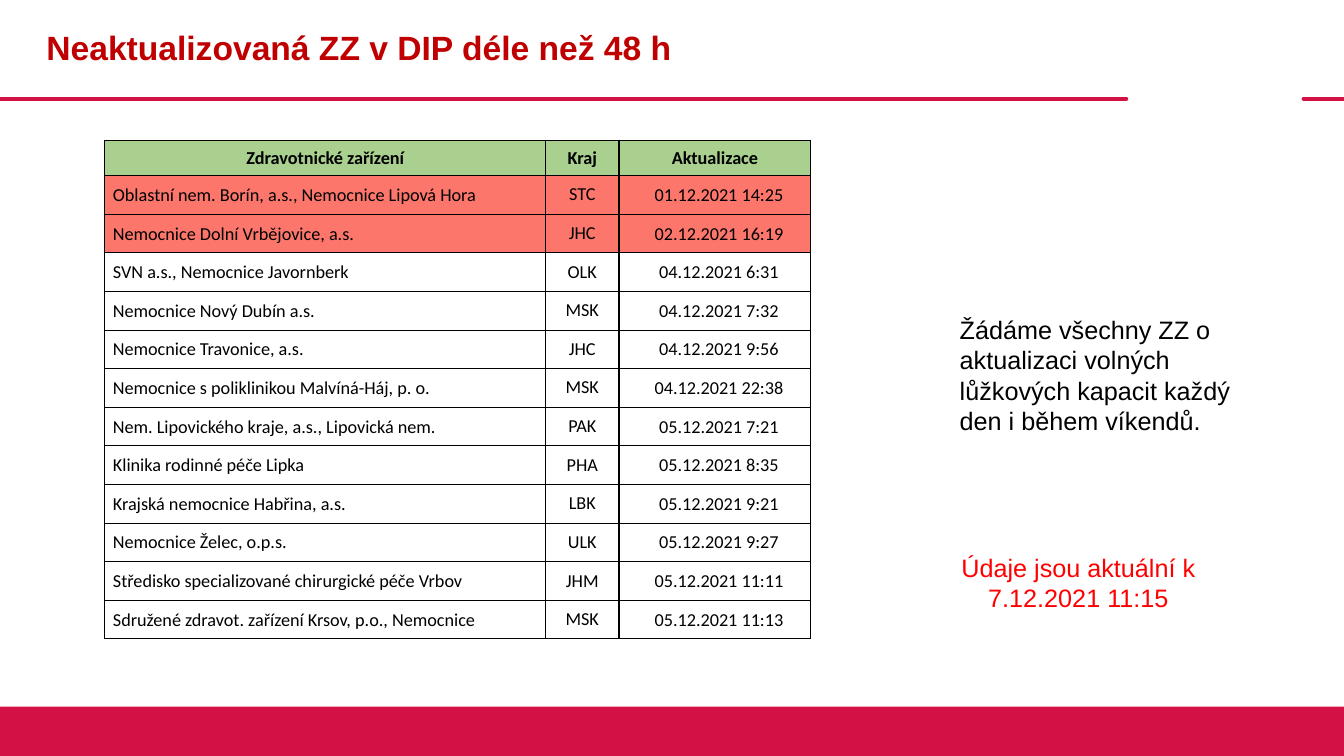
from dataclasses import dataclass

from lxml.etree import SubElement
from pptx import Presentation
from pptx.dml.color import RGBColor
from pptx.enum.shapes import MSO_CONNECTOR, MSO_SHAPE
from pptx.enum.text import MSO_ANCHOR as Anchor, PP_ALIGN as Align
from pptx.oxml.ns import qn
from pptx.slide import Slide
from pptx.table import _Cell as Cell
from pptx.text.text import _Paragraph as Paragraph
from pptx.util import Inches, Pt

COLORS = {
    "brand": "D31145",
    "title": "C00000",
    "alert": "FF0000",
    "text": "000000",
    "header": "A9D08E",
    "overdue": "FC766C",
}


@dataclass(frozen=True)
class Column:
    heading: str
    width: float
    align: Align
    margins: tuple[float, float, float, float]  # left, top, right, bottom


@dataclass(frozen=True)
class Facility:
    name: str
    region: str
    updated: str
    overdue: bool = False


@dataclass(frozen=True)
class Note:
    text: str
    left: float
    top: float
    width: float
    height: float
    color: str
    align: Align


HEADER_MARGINS = (0.01, 0.01, 0.01, 0)
COLUMNS = [
    Column("Zdravotnické zařízení", 4.37, Align.LEFT, (0.08, 0.01, 0.01, 0)),
    Column("Kraj", 0.73, Align.CENTER, (0.01, 0.08, 0.01, 0.08)),
    Column("Aktualizace", 1.9, Align.CENTER, (0.09, 0.01, 0.01, 0)),
]
FACILITIES = [
    Facility("Oblastní nem. Borín, a.s., Nemocnice Lipová Hora", "STC", "01.12.2021 14:25", True),
    Facility("Nemocnice Dolní Vrbějovice, a.s.", "JHC", "02.12.2021 16:19", True),
    Facility("SVN a.s., Nemocnice Javornberk", "OLK", "04.12.2021 6:31"),
    Facility("Nemocnice Nový Dubín a.s.", "MSK", "04.12.2021 7:32"),
    Facility("Nemocnice Travonice, a.s.", "JHC", "04.12.2021 9:56"),
    Facility("Nemocnice s poliklinikou Malvíná-Háj, p. o.", "MSK", "04.12.2021 22:38"),
    Facility("Nem. Lipovického kraje, a.s., Lipovická nem.", "PAK", "05.12.2021 7:21"),
    Facility("Klinika rodinné péče Lipka", "PHA", "05.12.2021 8:35"),
    Facility("Krajská nemocnice Habřina, a.s.", "LBK", "05.12.2021 9:21"),
    Facility("Nemocnice Želec, o.p.s.", "ULK", "05.12.2021 9:27"),
    Facility("Středisko specializované chirurgické péče Vrbov", "JHM", "05.12.2021 11:11"),
    Facility("Sdružené zdravot. zařízení Krsov, p.o., Nemocnice", "MSK", "05.12.2021 11:13"),
]
NOTES = [
    Note("Údaje jsou aktuální k 7.12.2021 11:15",
         9.42, 5.43, 2.55, 0.71, "alert", Align.CENTER),
    Note("Žádáme všechny ZZ o aktualizaci volných lůžkových kapacit každý den i během víkendů.",
         9.42, 3.07, 2.99, 1.31, "text", Align.LEFT),
]
HEADER_HEIGHT = 0.35
TABLE_HEIGHT = 4.95
RULE_Y = 0.98


def rgb(name: str) -> RGBColor:
    return RGBColor.from_string(COLORS[name])


def add_run(p: Paragraph, text: str, font: str, size: float, color: str,
            bold: bool = False) -> None:
    r = p.add_run()
    r.text = text
    r.font.name = font
    r.font.size = Pt(size)
    r.font.bold = bold
    r.font.color.rgb = rgb(color)


def add_rule(slide: Slide, start: float, end: float) -> None:
    line = slide.shapes.add_connector(
        MSO_CONNECTOR.STRAIGHT, Inches(start), Inches(RULE_Y), Inches(end), Inches(RULE_Y))
    line.line.color.rgb = rgb("brand")
    line.line.width = Pt(3)
    properties = line._element.spPr
    properties.find(qn("a:ln")).set("cap", "rnd")
    SubElement(properties, qn("a:effectLst"))


def add_footer(slide: Slide) -> None:
    sp = slide.shapes.add_shape(
        MSO_SHAPE.RECTANGLE, 0, Inches(7.01), Inches(13.33), Inches(0.49))
    sp.shadow.inherit = False
    sp.fill.solid()
    sp.fill.fore_color.rgb = rgb("brand")
    sp.line.fill.background()


def format_title(slide: Slide, text: str) -> None:
    title = slide.shapes.title
    title.left, title.top = Inches(0.36), Inches(0)
    title.width, title.height = Inches(10.81), Inches(0.98)
    tf = title.text_frame
    tf.vertical_anchor = Anchor.MIDDLE
    p = tf.paragraphs[0]
    p.alignment = Align.LEFT
    p.line_spacing = 0.9
    add_run(p, text, "Arial", 24, "title", bold=True)


def add_note(slide: Slide, note: Note) -> None:
    box = slide.shapes.add_textbox(
        Inches(note.left), Inches(note.top), Inches(note.width), Inches(note.height))
    tf = box.text_frame
    tf.word_wrap = True
    p = tf.paragraphs[0]
    p.alignment = note.align
    add_run(p, note.text, "Arial", 18, note.color)


def set_borders(cell: Cell, top: float, bottom: float) -> None:
    """Draw all four sides; the left and right ones are always 1 pt."""
    properties = cell._tc.get_or_add_tcPr()
    widths = {"a:lnL": 1, "a:lnR": 1, "a:lnT": top, "a:lnB": bottom}
    for index, (tag, width) in enumerate(widths.items()):
        line = SubElement(properties, qn(tag), w=str(Pt(width)))
        fill = SubElement(line, qn("a:solidFill"))
        SubElement(fill, qn("a:srgbClr"), val=COLORS["text"])
        properties.insert(index, line)


def fill_cell(cell: Cell, text: str, align: Align,
              margins: tuple[float, float, float, float],
              fill: str | None, bold: bool = False) -> None:
    cell.vertical_anchor = Anchor.MIDDLE
    (cell.margin_left, cell.margin_top,
     cell.margin_right, cell.margin_bottom) = map(Inches, margins)
    if fill:
        cell.fill.solid()
        cell.fill.fore_color.rgb = rgb(fill)
    else:
        cell.fill.background()
    p = cell.text_frame.paragraphs[0]
    p.alignment = align
    add_run(p, text, "Calibri", 13, "text", bold)


def add_facility_table(slide: Slide) -> None:
    last = len(FACILITIES)
    table = slide.shapes.add_table(
        last + 1, len(COLUMNS), Inches(1.04), Inches(1.39),
        Inches(sum(c.width for c in COLUMNS)), Inches(TABLE_HEIGHT)).table
    table.horz_banding = False
    table.rows[0].height = Inches(HEADER_HEIGHT)
    for i in range(1, last + 1):
        table.rows[i].height = Inches((TABLE_HEIGHT - HEADER_HEIGHT) / last)
    for j, column in enumerate(COLUMNS):
        table.columns[j].width = Inches(column.width)
        header = table.cell(0, j)
        fill_cell(header, column.heading, Align.CENTER, HEADER_MARGINS, "header", bold=True)
        set_borders(header, 1, 1)
    for i, facility in enumerate(FACILITIES, start=1):
        values = (facility.name, facility.region, facility.updated)
        for j, (column, value) in enumerate(zip(COLUMNS, values)):
            cell = table.cell(i, j)
            fill_cell(cell, value, column.align, column.margins,
                      "overdue" if facility.overdue else None)
            set_borders(cell, 1 if i == 1 else 0.5, 1 if i == last else 0.5)


def main() -> None:
    prs = Presentation()
    prs.slide_width, prs.slide_height = Inches(13.33), Inches(7.5)
    slide = prs.slides.add_slide(prs.slide_layouts[5])
    add_rule(slide, 0, 11.17)
    add_rule(slide, 12.93, 13.33)
    add_footer(slide)
    format_title(slide, "Neaktualizovaná ZZ v DIP déle než 48 h")
    for note in NOTES:
        add_note(slide, note)
    add_facility_table(slide)
    prs.save("out.pptx")


if __name__ == "__main__":
    main()
